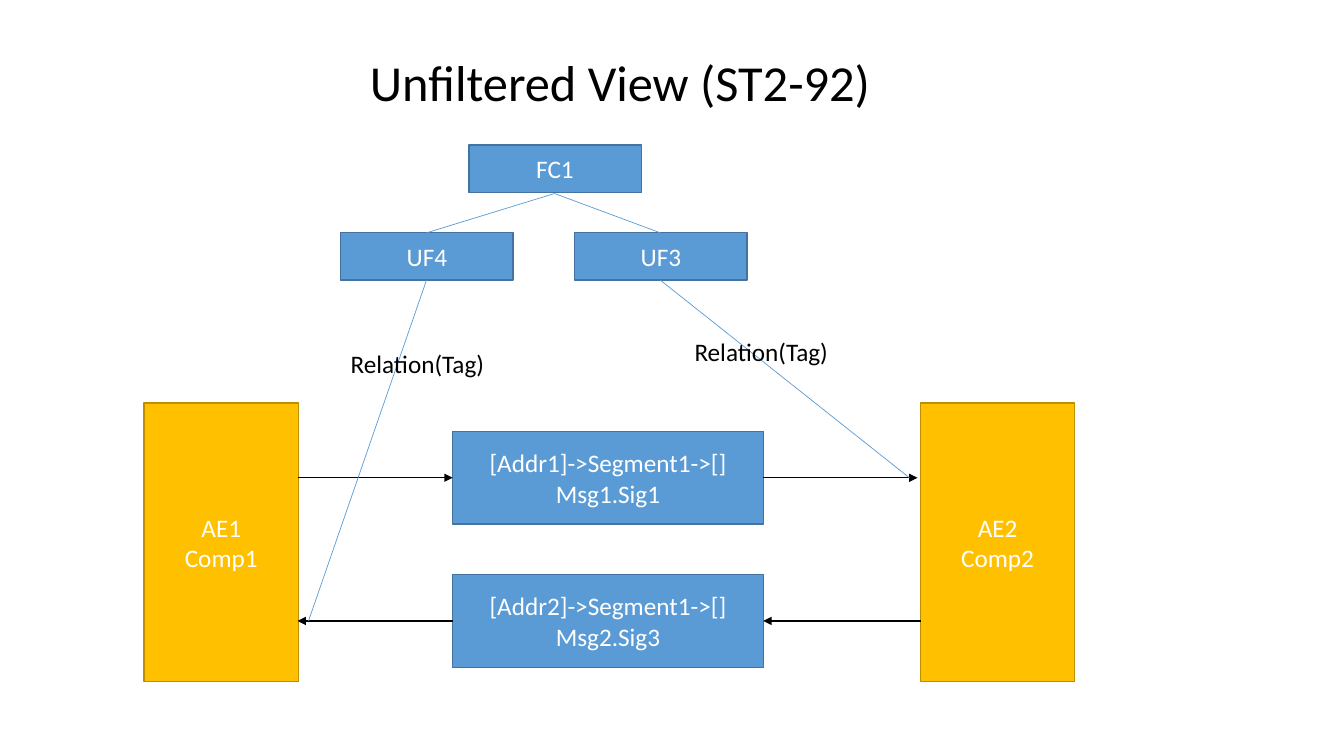
from pptx import Presentation
from pptx.dml.color import RGBColor
from pptx.enum.shapes import MSO_CONNECTOR, MSO_SHAPE
from pptx.enum.text import MSO_ANCHOR, MSO_AUTO_SIZE, PP_ALIGN
from pptx.oxml.ns import qn
from pptx.util import Inches, Pt
from lxml.etree import SubElement

COLORS = {
    "blue": "5B9BD5",
    "blue edge": "43739E",
    "gold": "FFC000",
    "gold edge": "BD8E00",
    "white": "FFFFFF",
    "black": "000000",
}


def color(name):
    return RGBColor.from_string(COLORS[name])


def write_lines(frame, lines, size, ink, align):
    for index, line in enumerate(lines):
        para = frame.paragraphs[0] if index == 0 else frame.add_paragraph()
        para.alignment = align
        span = para.add_run()
        span.text = line
        font_format = {"name": "Calibri", "size": Pt(size)}
        for key, value in font_format.items():
            setattr(span.font, key, value)
        span.font.color.rgb = color(ink)


deck = Presentation()
deck.slide_width = Inches(13.33)
deck.slide_height = Inches(7.5)
page = deck.slides.add_slide(deck.slide_layouts[6])

component = (1.53, 2.76, "gold")
message = (3.08, 0.92, "blue")
function = (1.71, 0.47, "blue")
boxes = [
    (1.43, 4, component, ["AE1", "Comp1"]),
    (9.13, 4, component, ["AE2", "Comp2"]),
    (4.49, 4.28, message, ["[Addr1]->Segment1->[]", "Msg1.Sig1"]),
    (4.49, 5.7, message, ["[Addr2]->Segment1->[]", "Msg2.Sig3"]),
    (4.65, 1.44, function, ["FC1"]),
    (3.38, 2.31, function, ["UF4"]),
    (5.7, 2.31, function, ["UF3"]),
]
for left, top, (width, height, fill), lines in boxes:
    box = page.shapes.add_shape(
        MSO_SHAPE.RECTANGLE, Inches(left), Inches(top), Inches(width), Inches(height)
    )
    box.shadow.inherit = False
    box.fill.solid()
    box.fill.fore_color.rgb = color(fill)
    box.line.color.rgb = color(fill + " edge")
    box.line.width = Pt(1)
    box.text_frame.word_wrap = True
    box.text_frame.vertical_anchor = MSO_ANCHOR.MIDDLE
    write_lines(box.text_frame, lines, 18, "white", PP_ALIGN.CENTER)

signal = ("black", 1, True)
relation = ("blue", 0.5, False)
links = [
    (2.96, 4.74, 4.49, 4.74, signal),
    (7.57, 4.74, 9.1, 4.74, signal),
    (9.13, 6.16, 7.57, 6.16, signal),
    (4.49, 6.16, 2.95, 6.16, signal),
    (5.5, 1.92, 6.55, 2.31, relation),
    (4.23, 2.31, 5.5, 1.92, relation),
    (4.23, 2.78, 3.06, 6.16, relation),
    (6.55, 2.78, 9.02, 4.74, relation),
]
for *ends, (ink, weight, arrow) in links:
    link = page.shapes.add_connector(
        MSO_CONNECTOR.STRAIGHT, *[Inches(value) for value in ends]
    )
    link.line.color.rgb = color(ink)
    link.line.width = Pt(weight)
    if arrow:
        SubElement(link.line._get_or_add_ln(), qn("a:tailEnd"), type="triangle")
    SubElement(link._element.spPr, qn("a:effectLst"))

labels = [
    (3.38, 3.41, 1.54, 0.4, "Relation(Tag)", 18, False),
    (6.79, 3.29, 1.54, 0.4, "Relation(Tag)", 18, False),
    (3.57, 0.46, 6.71, 0.71, "Unfiltered View (ST2-92)", 36, True),
]
for left, top, width, height, text, size, wrap in labels:
    label = page.shapes.add_textbox(
        Inches(left), Inches(top), Inches(width), Inches(height)
    )
    frame_format = {"word_wrap": wrap, "auto_size": MSO_AUTO_SIZE.SHAPE_TO_FIT_TEXT}
    for key, value in frame_format.items():
        setattr(label.text_frame, key, value)
    write_lines(label.text_frame, [text], size, "black", PP_ALIGN.LEFT)

deck.save("out.pptx")
